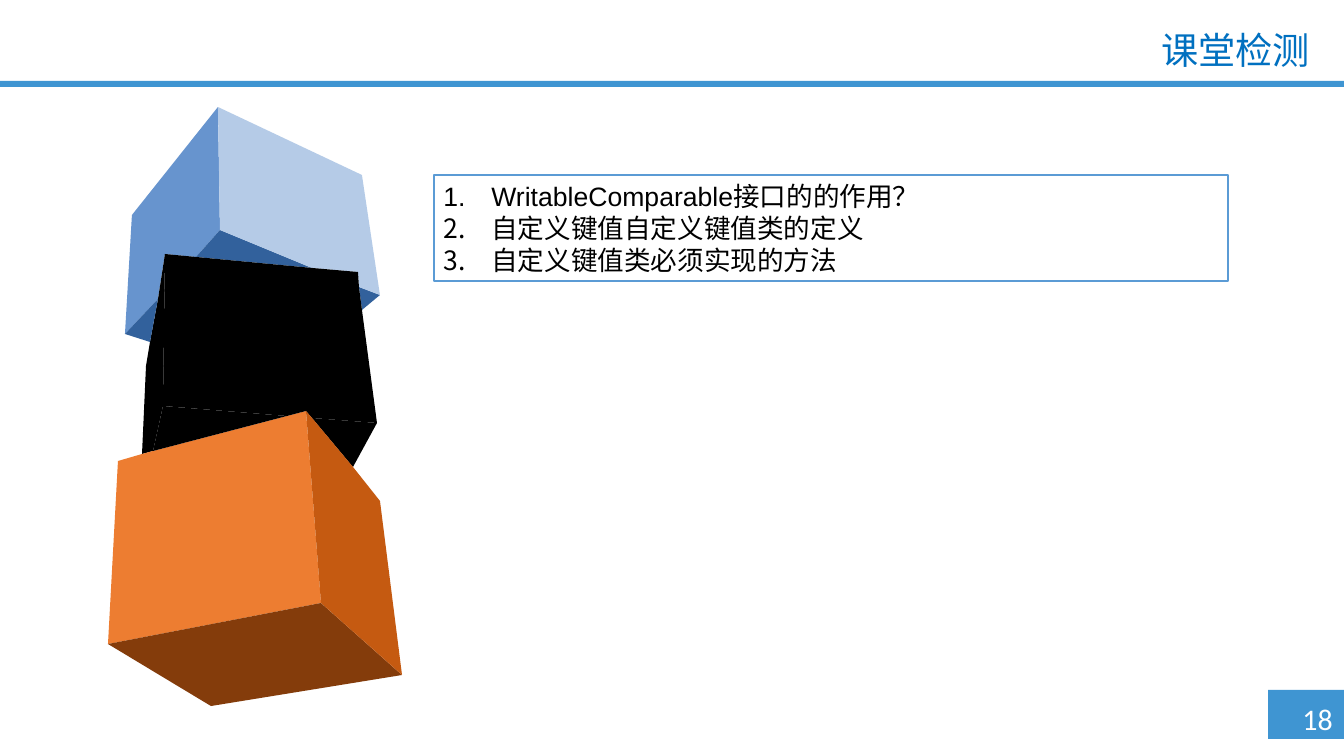
from dataclasses import dataclass
from lxml.etree import SubElement as Sub
from pptx import Presentation
from pptx.dml.color import RGBColor as Rgb
from pptx.enum.shapes import MSO_SHAPE as Kind
from pptx.enum.text import MSO_ANCHOR as Anchor, PP_ALIGN as Align
from pptx.oxml.ns import qn
from pptx.util import Emu, Pt

PIXEL = 914400 / 95.6


@dataclass(frozen=True)
class Theme:
    """Colours, fonts and type sizes of the slide."""
    bar: str = "3F95D2"
    edge: str = "5B9BD5"
    title: str = "0070C0"
    white: str = "FFFFFF"
    black: str = "000000"
    blue: tuple = ("6794CE", "32619C", "B5CBE7")
    dark: tuple = ("000000",) * 3
    orange: tuple = ("ED7D31", "843C0B", "C55A11")
    latin: str = "Arial"
    body: str = "Calibri"
    asian: str = "Noto Sans CJK SC"
    head: float = 28
    page: float = 22.5
    text: float = 20


def emu(px):
    """Turn pixels into EMU."""
    return Emu(round(px * PIXEL))


class Painter:
    """Draws styled elements on the current slide."""

    def __init__(self, slide, theme):
        """Keep the slide and its theme."""
        self.slide, self.theme = slide, theme

    def paint(self, shape, fill, line=None):
        """Give a shape a flat fill and an optional line."""
        shape.shadow.inherit = False
        shape.fill.solid()
        shape.fill.fore_color.rgb = Rgb.from_string(fill)
        if line:
            shape.line.color.rgb = Rgb.from_string(line)
            shape.line.width = Pt(1)
        else:
            shape.line.fill.background()

    def rect(self, *box, fill, line=None):
        """Add a rectangle at left, top, width, height."""
        shape = self.slide.shapes.add_shape(Kind.RECTANGLE, *map(emu, box))
        self.paint(shape, fill, line)
        return shape

    def style(self, para, font, size, color, asian=None):
        """Set the font of a whole paragraph."""
        para.font.size = Pt(size)
        para.font.color.rgb = Rgb.from_string(color)
        para.font.name = font
        if asian:
            mark = para.font._element
            Sub(mark, qn("a:ea")).set("typeface", asian)

    def label(self, text, *box):
        """Add a wrapped text box and return its frame and paragraph."""
        frame = self.slide.shapes.add_textbox(*map(emu, box)).text_frame
        frame.word_wrap = True
        para = frame.paragraphs[0]
        para.text = text
        return frame, para

    def listing(self, rows, *box):
        """Add a framed numbered list of (font, text) rows."""
        look = self.theme
        frame = self.rect(*box, fill=look.white, line=look.edge).text_frame
        frame.word_wrap = True
        frame.vertical_anchor = Anchor.TOP
        for num, (font, text) in enumerate(rows):
            para = frame.add_paragraph() if num else frame.paragraphs[0]
            para.text = text
            para.alignment = Align.LEFT
            props = para._p.get_or_add_pPr()
            props.set("marL", str(emu(48)))
            props.set("indent", str(-emu(48)))
            Sub(props, qn("a:buAutoNum")).set("type", "arabicPeriod")
            self.style(para, font, look.text, look.black)

    def stack(self, points, faces):
        """Group cube faces, each a fill and outlines of named points."""
        group = self.slide.shapes.add_group_shape()
        for fill, outline in faces:
            first, *rest = [[points[key] for key in loop]
                            for loop in outline.split()]
            pen = group.shapes.build_freeform(*first[0], scale=PIXEL)
            pen.add_line_segments(first[1:], close=True)
            for loop in rest:
                pen.move_to(*loop[0])
                pen.add_line_segments(loop[1:], close=True)
            self.paint(pen.convert_to_shape(), fill)


POINTS = {
    "a": (125, 334), "b": (132, 215), "c": (218, 107), "d": (220, 230),
    "e": (196, 257), "f": (165, 254), "g": (158, 299), "h": (142, 454),
    "i": (146, 366), "j": (150, 342), "k": (163, 406), "l": (153, 451),
    "m": (108, 644), "n": (118, 461), "o": (287, 416), "p": (306, 411),
    "q": (321, 603), "r": (359, 287), "s": (362, 310), "t": (380, 295),
    "u": (312, 268), "v": (312, 418), "w": (353, 467), "x": (377, 423),
    "y": (402, 675), "z": (211, 706), "A": (362, 175), "B": (358, 272),
    "C": (380, 501),
}
# Left, bottom and right sides, each for the blue, dark and orange cube
SIDES = (
    ("abcdefg", "hijgfkl", "mnhlopq"),
    ("rst jga eud", "vwx lok", "mqyz"),
    ("dcAtrBu", "kfeuBrsxvpo", "qpvwCy"),
)


def main():
    """Build and save the slide."""
    deck = Presentation()
    deck.slide_width, deck.slide_height = emu(1344), emu(756)
    look = Theme()
    art = Painter(deck.slides.add_slide(deck.slide_layouts[6]), look)

    art.rect(1268, 690, 76, 49, fill=look.bar)
    art.rect(0, 81, 1344, 6, fill=look.bar)
    _, page = art.label("18", 1293, 696, 51, 46)
    art.style(page, look.body, look.page, look.white)

    art.listing((
        (look.latin, "WritableComparable接口的的作用？"),
        (look.body, "自定义键值自定义键值类的定义"),
        (look.body, "自定义键值类必须实现的方法"),
    ), 434, 175, 794, 106)

    frame, title = art.label("课堂检测", 612, 32, 707, 38)
    frame.margin_top = frame.margin_bottom = 0
    title.alignment = Align.RIGHT
    title.line_spacing = 0.9
    art.style(title, look.asian, look.head, look.title, look.asian)

    cubes = look.blue, look.dark, look.orange
    art.stack(POINTS, [(cube[num], loop) for num, side in enumerate(SIDES)
                       for cube, loop in zip(cubes, side)])
    deck.save("out.pptx")


main()
